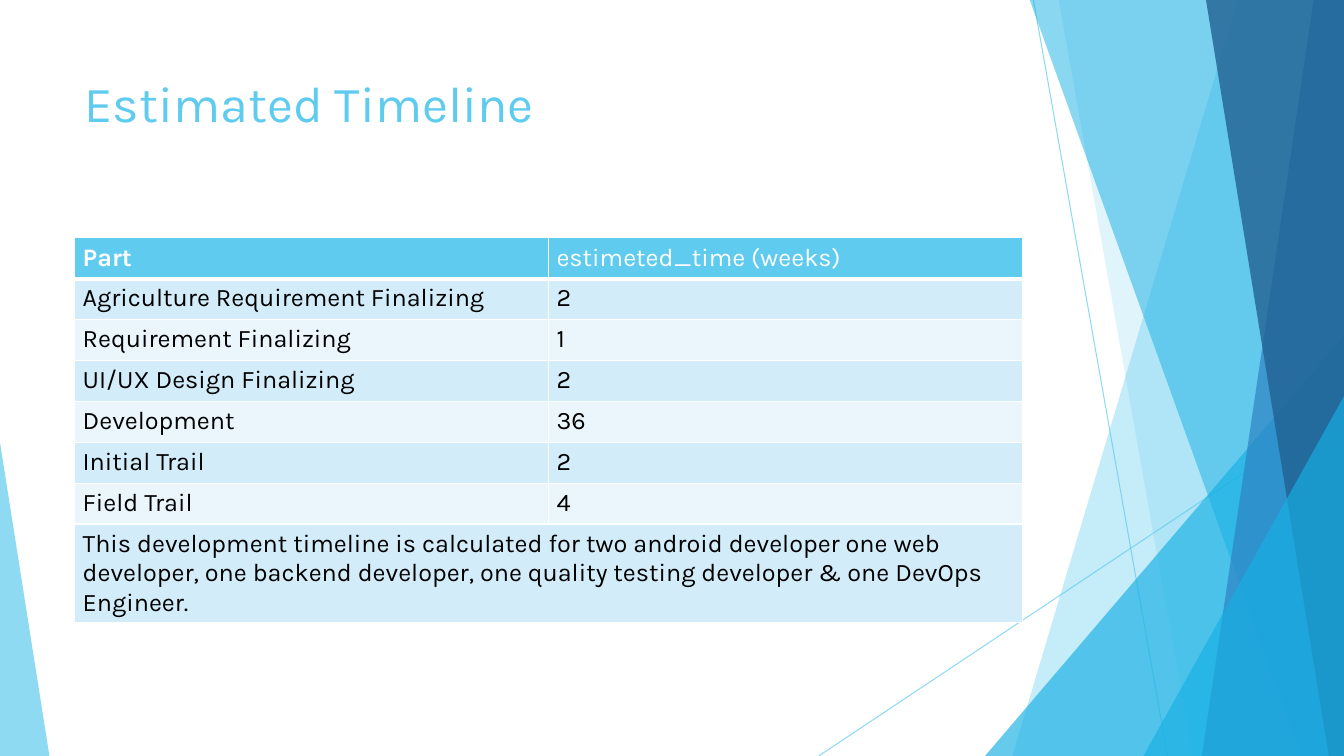
from lxml import etree
from pptx import Presentation
from pptx import util as u
from pptx.dml.color import RGBColor
from pptx.enum import shapes, text
from pptx.oxml.ns import qn

WIDTH, HEIGHT = 13.33, 7.5
SKY, CYAN, BLUE, NAVY = "5FCBEF", "17B0E4", "2E83C3", "226292"
WHITE, BLACK, BAND_DARK, BAND_LIGHT = "FFFFFF", "000000", "D2ECF9", "EAF6FC"


def rgb(value):
    return RGBColor.from_string(value)


def inches(*values):
    return [u.Inches(value) for value in values]


def apply(target, values):
    for name, value in values.items():
        setattr(target, name, value)


class Deck:
    """Holds the style and the current slide, and draws each kind of element."""

    font = "Karla"

    def __init__(self):
        self.presentation = Presentation()
        apply(self.presentation, {"slide_width": u.Inches(WIDTH), "slide_height": u.Inches(HEIGHT)})
        self.slide = self.presentation.slides.add_slide(self.presentation.slide_layouts[5])

    def words(self, frame, wording, size, color, bold=False):
        paragraph = frame.paragraphs[0]
        paragraph.alignment = text.PP_ALIGN.LEFT
        run = paragraph.add_run()
        run.text = wording
        apply(run.font, {"name": self.font, "size": u.Pt(size), "bold": bold})
        run.font.color.rgb = rgb(color)

    def title(self, wording, box):
        heading = self.slide.shapes.title
        apply(heading, dict(zip(("left", "top", "width", "height"), inches(*box))))
        apply(heading.text_frame, {"vertical_anchor": text.MSO_ANCHOR.TOP, "word_wrap": True,
                                   "auto_size": text.MSO_AUTO_SIZE.NONE})
        self.words(heading.text_frame, wording, 36, SKY)

    def fade(self, element, percent):
        for color in element.spPr.iter(qn("a:srgbClr")):
            etree.SubElement(color, qn("a:alpha")).set("val", str(percent * 1000))

    def paint(self, facet, color, percent):
        facet.shadow.inherit = False
        facet.fill.solid()
        facet.fill.fore_color.rgb = rgb(color)
        facet.line.fill.background()
        self.fade(facet._element, percent)

    def ray(self, *ends):
        ray = self.slide.shapes.add_connector(shapes.MSO_CONNECTOR.STRAIGHT, *inches(*ends))
        ray.line.width = u.Pt(0.75)
        ray.line.color.rgb = rgb(SKY)
        self.fade(ray._element, 70)
        etree.SubElement(ray._element.spPr, qn("a:effectLst"))

    def shard(self, top_left, bottom_left, color, percent):
        corners = [(WIDTH, -0.01), (WIDTH, HEIGHT), (bottom_left, HEIGHT)]
        outline = self.slide.shapes.build_freeform(*inches(top_left, -0.01))
        outline.add_line_segments([inches(*corner) for corner in corners], close=True)
        self.paint(outline.convert_to_shape(), color, percent)

    def wedge(self, left, top, width, apex, color, percent):
        wedge = self.slide.shapes.add_shape(shapes.MSO_SHAPE.ISOSCELES_TRIANGLE,
                                            *inches(left, top, width, HEIGHT - top))
        wedge.adjustments[0] = apex
        self.paint(wedge, color, percent)

    def border(self, cell, widths):
        properties = cell._tc.get_or_add_tcPr()
        for side, width in widths.items():
            line = etree.SubElement(properties, qn("a:ln" + side), w=str(u.Pt(width)))
            fill = etree.SubElement(line, qn("a:solidFill"))
            etree.SubElement(fill, qn("a:srgbClr"), val=WHITE)

    def cell(self, cell, row, wording, bold):
        apply(cell, dict(zip(("margin_left", "margin_top", "margin_right", "margin_bottom"),
                             inches(0.08, 0.05, 0.08, 0.05))))
        self.border(cell, {"L": 1, "R": 1, "T": 3 if row == 1 else 1, "B": 1 if row else 3})
        cell.fill.solid()
        band = BAND_DARK if row % 2 else BAND_LIGHT
        cell.fill.fore_color.rgb = rgb(band if row else SKY)
        if wording:
            self.words(cell.text_frame, wording, 18, BLACK if row else WHITE, bold)

    def table(self, rows, box, rows_height, note_height):
        table = self.slide.shapes.add_table(len(rows), 2, *inches(*box)).table
        for index, values in enumerate(rows):
            table.rows[index].height = u.Inches(rows_height) // (len(rows) - 1)
            for column, wording in enumerate(values):
                self.cell(table.cell(index, column), index, wording, index == column == 0)
        last = len(rows) - 1
        table.rows[last].height = u.Inches(note_height)
        table.cell(last, 0).merge(table.cell(last, 1))


TIMELINE = [
    ("Part ", "estimeted_time (weeks)"),
    ("Agriculture Requirement Finalizing ", "2"),
    ("Requirement Finalizing", "1"),
    ("UI/UX Design Finalizing", "2"),
    ("Development", "36"),
    ("Initial Trail", "2"),
    ("Field Trail", "4"),
    ("This development timeline is calculated for two android developer one web developer, "
     "one backend developer, one quality testing developer & one DevOps Engineer.", ""),
]

deck = Deck()
deck.ray(10.25, 0, 11.58, HEIGHT)
deck.ray(WIDTH, 4.03, 8.12, HEIGHT)
deck.shard(12.28, 10.04, SKY, 36)
deck.shard(10.5, 11.83, SKY, 20)
deck.wedge(9.77, 3.33, 3.56, 1, CYAN, 66)
deck.shard(10.21, 12.91, CYAN, 50)
deck.shard(13.03, 11.92, BLUE, 70)
deck.shard(11.96, 13.18, NAVY, 80)
deck.wedge(11.34, 3.93, 1.99, 1, CYAN, 66)
deck.wedge(0, 4.39, 0.49, 0, SKY, 70)
deck.title("Estimated Timeline", (0.74, 0.67, 9.4, 1.44))
deck.table(TIMELINE, (0.74, 2.36, 9.4, 3.82), 2.84, 0.98)
deck.presentation.save("out.pptx")
